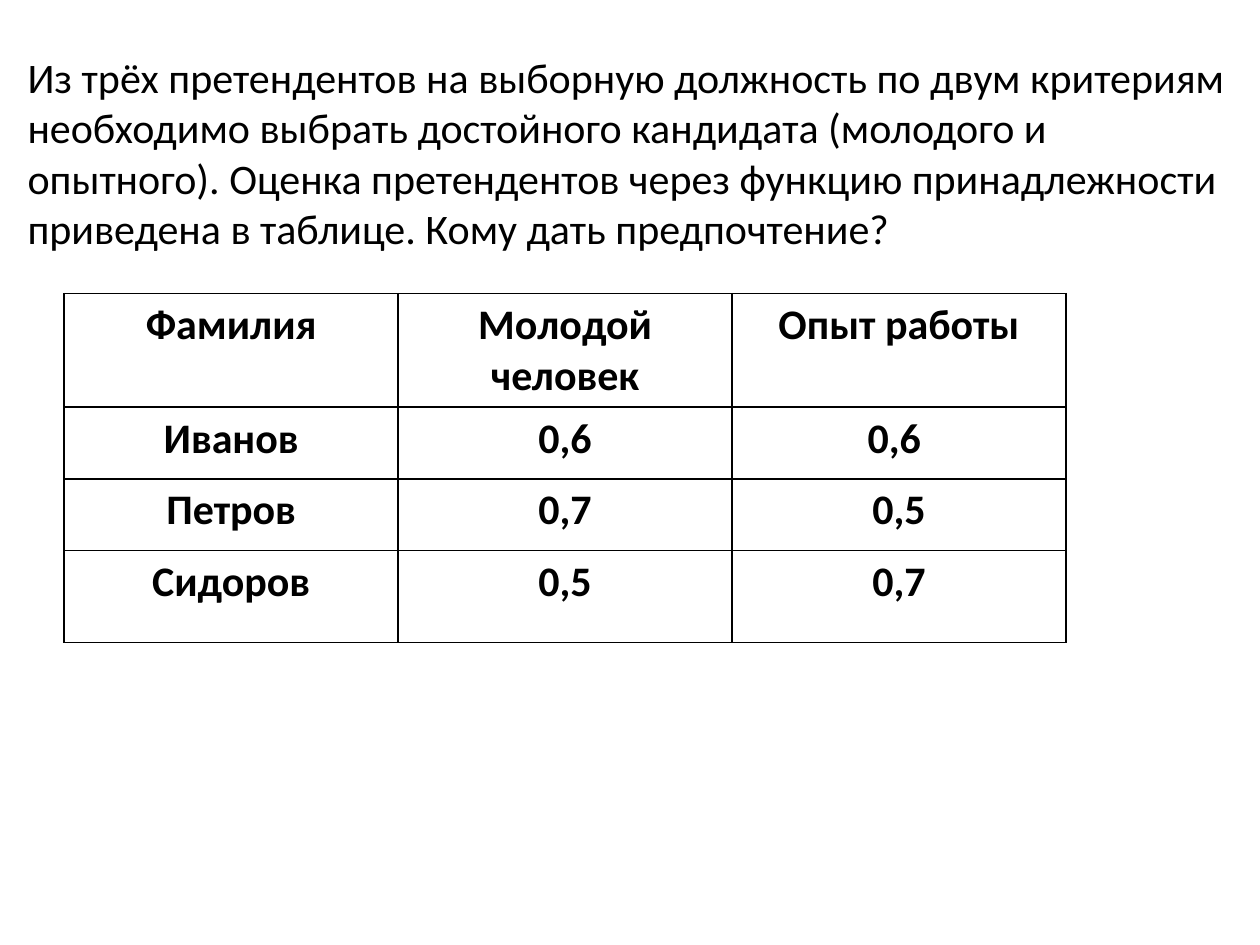
from lxml import etree
from pptx import Presentation, util as u
from pptx.dml.color import RGBColor
from pptx.enum import text
from pptx.oxml import ns

INK = "000000"
FONT = {"name": "Calibri", "size": u.Pt(24)}


def style(para, **more):
    for key, val in {**FONT, **more}.items():
        setattr(para.runs[0].font, key, val)
    para.runs[0].font.color.rgb = RGBColor.from_string(INK)


def border(cell):
    props = cell._tc.get_or_add_tcPr()
    for pos, side in enumerate(("lnL", "lnR", "lnT", "lnB")):
        line = etree.Element(ns.qn("a:" + side), w=str(u.Pt(1)))
        fill = etree.SubElement(line, ns.qn("a:solidFill"))
        etree.SubElement(fill, ns.qn("a:srgbClr"), val=INK)
        props.insert(pos, line)


prs = Presentation()
prs.slide_width, prs.slide_height = u.Inches(10), u.Inches(7.5)
slide = prs.slides.add_slide(prs.slide_layouts[6])

# Task statement
box = slide.shapes.add_textbox(*map(u.Inches, (0.12, 0.36, 9.88, 1.72)))
frame = box.text_frame
frame.word_wrap = True
frame.auto_size = text.MSO_AUTO_SIZE.SHAPE_TO_FIT_TEXT
frame.text = (
    "Из трёх претендентов на выборную должность по двум критериям "
    "необходимо выбрать достойного кандидата (молодого и опытного). "
    "Оценка претендентов через функцию принадлежности приведена в таблице. "
    "Кому дать предпочтение?"
)
style(frame.paragraphs[0])

# Membership table
rows = [
    ("Фамилия", "Молодой человек", "Опыт работы"),
    ("Иванов", "0,6", "0,6 "),
    ("Петров", "0,7", "0,5"),
    ("Сидоров", "0,5", "0,7"),
]
tall = [0.9, 0.57, 0.57, 0.73]
table = slide.shapes.add_table(
    len(rows), 3, *map(u.Inches, (0.51, 2.33, 7.95, sum(tall)))
).table
table.first_row = table.horz_banding = False

for r, row in enumerate(rows):
    table.rows[r].height = u.Inches(tall[r])
    for c, word in enumerate(row):
        cell = table.cell(r, c)
        cell.text = word
        cell.fill.background()
        border(cell)
        para = cell.text_frame.paragraphs[0]
        para.alignment = text.PP_ALIGN.CENTER
        style(para, bold=True)

prs.save("out.pptx")
